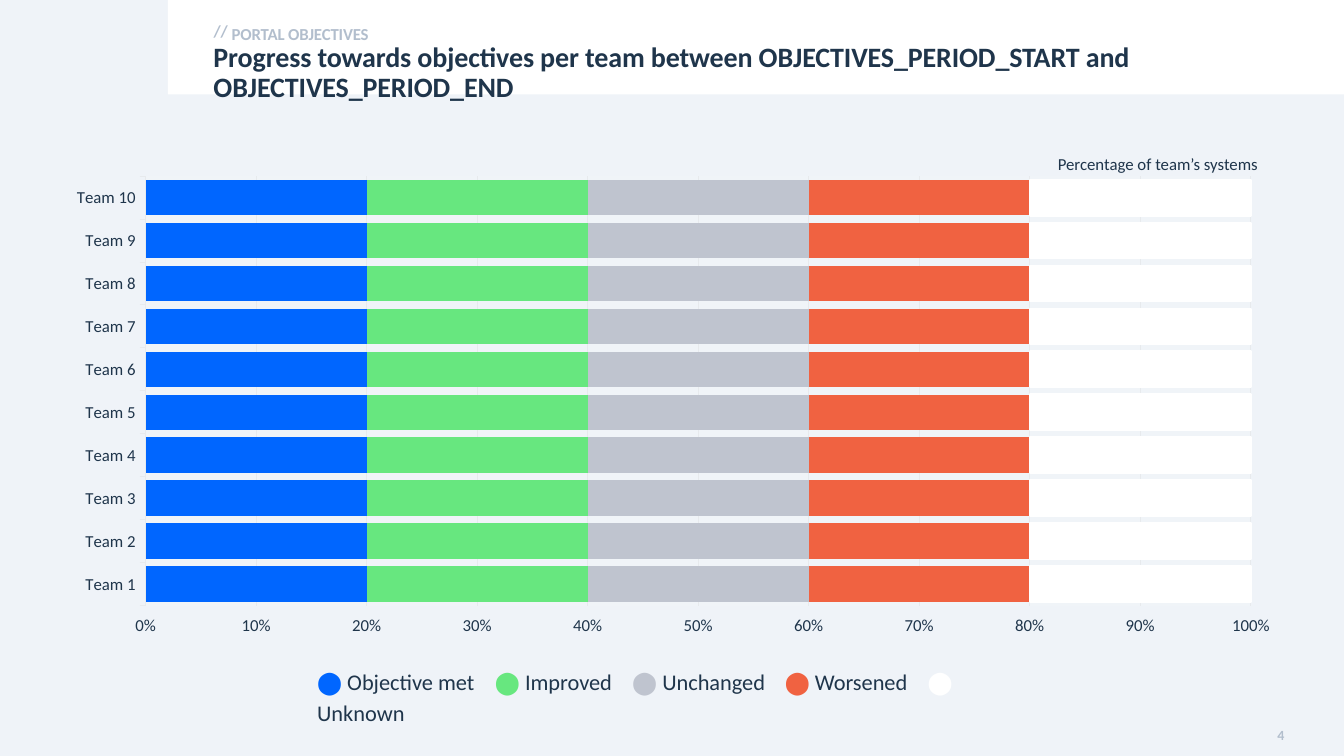
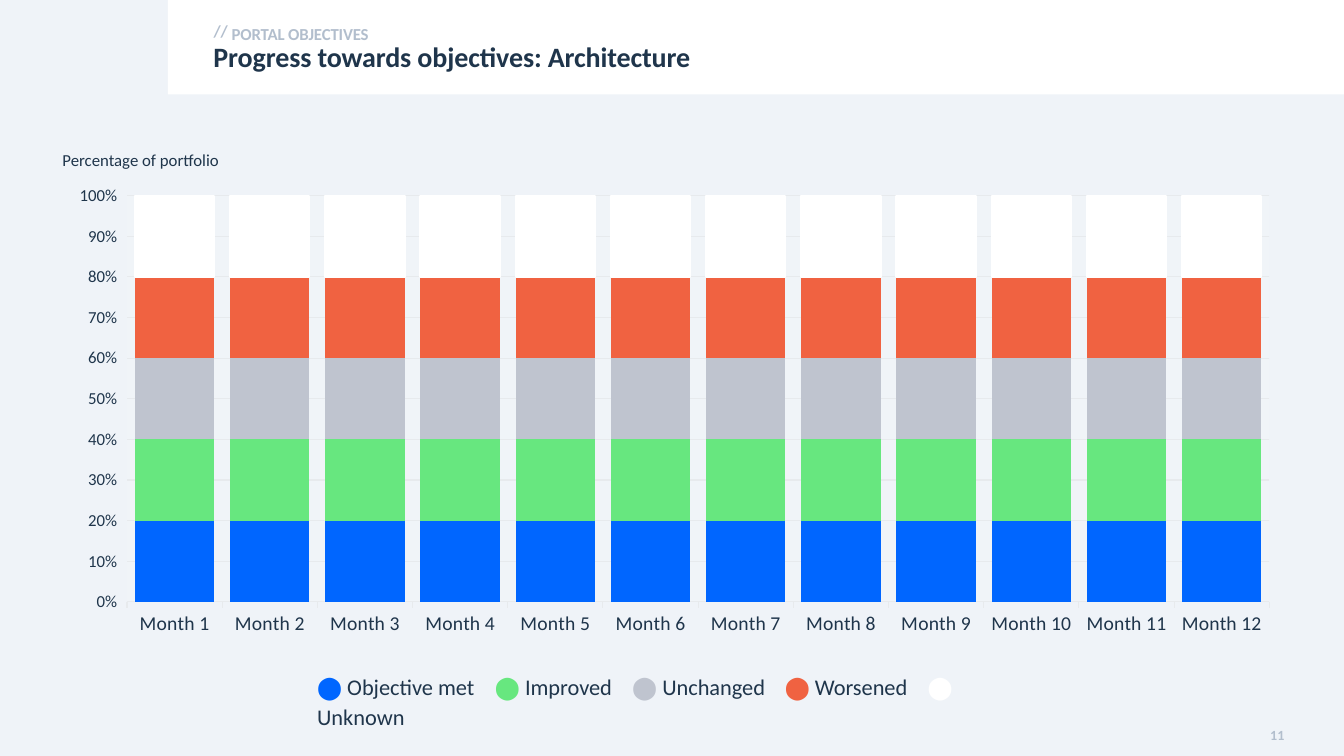
from lxml.etree import SubElement
from pptx import Presentation
from pptx.chart.data import CategoryChartData
from pptx.dml.color import RGBColor
from pptx.enum.chart import XL_CHART_TYPE, XL_TICK_MARK
from pptx.enum.shapes import MSO_SHAPE
from pptx.enum.text import MSO_ANCHOR, PP_ALIGN
from pptx.oxml import parse_xml
from pptx.oxml.ns import nsdecls, qn
from pptx.util import Pt

COLORS = {
    "page": "EFF3F8", "band": "FFFFFF", "plot": "F0F4F8", "grid": "E7EAED",
    "text": "1F354B", "muted": "B2BECD",
    "met": "0066FF", "improved": "67E77F", "unchanged": "BFC4CF",
    "worsened": "F06241", "unknown": "FFFFFF",
}
FONT = "Calibri"
STATUSES = {
    "met": "Objective met", "improved": "Improved", "unchanged": "Unchanged",
    "worsened": "Worsened", "unknown": "Unknown",
}
LEGEND_TABS = [127, 225, 334, 436]
CHART_LEFT, CHART_WIDTH = 37.5, 887


def rgb(name):
    return RGBColor.from_string(COLORS[name])


# Text
def add_text(slide, text, at, size=12, color="text", bold=False, tracking=0,
             align=PP_ALIGN.LEFT, anchor=MSO_ANCHOR.TOP,
             insets=(7.2, 3.6, 7.2, 3.6), line_spacing=1, tabs=()):
    """Add one paragraph; text is a string or a list of (text, color) pairs."""
    box = slide.shapes.add_textbox(*map(Pt, at))
    frame = box.text_frame
    frame.word_wrap = True
    frame.vertical_anchor = anchor
    (frame.margin_left, frame.margin_top,
     frame.margin_right, frame.margin_bottom) = map(Pt, insets)
    para = frame.paragraphs[0]
    para.alignment = align
    para.line_spacing = line_spacing
    if tabs:
        tab_list = SubElement(para._p.get_or_add_pPr(), qn("a:tabLst"))
        for position in tabs:
            SubElement(tab_list, qn("a:tab"), pos=str(Pt(position)), algn="l")
    spans = [(text, color)] if isinstance(text, str) else text
    for words, span_color in spans:
        span = para.add_run()
        span.text = words
        span.font.name = FONT
        span.font.size = Pt(size)
        span.font.bold = bold
        span.font.color.rgb = rgb(span_color)
        if tracking:
            span._r.get_or_add_rPr().set("spc", str(round(tracking * 100)))
    return box


# Shared frame: background, band, heading and page number
def add_page(deck, title, number):
    slide = deck.slides.add_slide(deck.slide_layouts[6])
    slide.background.fill.solid()
    slide.background.fill.fore_color.rgb = rgb("page")
    band = slide.shapes.add_shape(
        MSO_SHAPE.RECTANGLE, Pt(120), Pt(0), Pt(840), Pt(67.5))
    band.shadow.inherit = False
    band.fill.solid()
    band.fill.fore_color.rgb = rgb("band")
    band.line.fill.background()

    label = dict(color="muted", bold=True, tracking=-0.1)
    add_text(slide, "//", (145.5, 11.5, 26.5, 21.5),
             anchor=MSO_ANCHOR.MIDDLE, **label)
    add_text(slide, "PORTAL OBJECTIVES", (165.5, 13.5, 759, 17.5),
             insets=(0, 1.5, 7.2, 0), line_spacing=1.14, **label)
    add_text(slide, title, (152.5, 31, 772.5, 22.5), size=20, bold=True,
             tracking=-0.1, insets=(0, 0, 0, 0), line_spacing=0.9)
    add_text(slide, str(number), (894.5, 515.5, 30, 19), size=10,
             color="muted", bold=True, tracking=0.1, align=PP_ALIGN.RIGHT,
             anchor=MSO_ANCHOR.MIDDLE, insets=(0, 3, 7.2, 3.6))
    return slide


# Legend under the chart
def add_legend(slide, top):
    spans = []
    for index, (status, label) in enumerate(STATUSES.items()):
        gap = "\t" if index < len(LEGEND_TABS) else ""
        spans += [("⬤", status), (f" {label}{gap}", "text")]
    add_text(slide, spans, (219.5, top, 520.5, 28), size=16,
             line_spacing=1.13, tabs=LEGEND_TABS)


# Chart
def style_axis(axis, size):
    axis.major_tick_mark = XL_TICK_MARK.OUTSIDE
    axis.minor_tick_mark = XL_TICK_MARK.NONE
    font = axis.tick_labels.font
    font.name = FONT
    font.size = Pt(size)
    font.color.rgb = rgb("text")


def style_line(line, color, width):
    line.color.rgb = rgb(color)
    line.width = Pt(width)


def style_plot_area(chart, layout):
    """Place the plot by fractions of the chart and fill its background."""
    area = chart._chartSpace.chart.plotArea
    for old in area.findall(qn("c:layout")):
        area.remove(old)
    places = "".join(f'<c:{side} val="{value}"/>'
                     for side, value in zip("xywh", layout))
    area.insert(0, parse_xml(
        f'<c:layout {nsdecls("c")}><c:manualLayout>'
        '<c:layoutTarget val="inner"/><c:xMode val="edge"/>'
        f'<c:yMode val="edge"/>{places}</c:manualLayout></c:layout>'))
    area.append(parse_xml(
        f'<c:spPr {nsdecls("c", "a")}><a:solidFill>'
        f'<a:srgbClr val="{COLORS["plot"]}"/></a:solidFill></c:spPr>'))


def add_status_chart(slide, kind, categories, top, height, layout,
                     category_size):
    data = CategoryChartData()
    data.categories = categories
    for label in STATUSES.values():
        data.add_series(label, [20] * len(categories))
    chart = slide.shapes.add_chart(
        kind, Pt(CHART_LEFT), Pt(top), Pt(CHART_WIDTH), Pt(height), data).chart
    chart.has_legend = False
    chart.has_title = False
    chart.font.name = FONT
    chart.font.size = Pt(10)
    chart.font.color.rgb = rgb("text")

    plot = chart.plots[0]
    plot.gap_width = 20
    plot.overlap = 100
    plot.vary_by_categories = False
    for series, status in zip(plot.series, STATUSES):
        series.format.fill.solid()
        series.format.fill.fore_color.rgb = rgb(status)
        if status == "unknown":
            style_line(series.format.line, status, 1.5)

    style_axis(chart.category_axis, category_size)
    style_line(chart.category_axis.format.line, "grid", 0.75)
    values = chart.value_axis
    style_axis(values, 12)
    values.minimum_scale, values.maximum_scale = 0, 1
    values.major_unit = 0.1
    values.tick_labels.number_format = "0%"
    values.tick_labels.number_format_is_linked = False
    values.format.line.fill.background()
    values.has_major_gridlines = True
    style_line(values.major_gridlines.format.line, "grid", 0.75)
    style_plot_area(chart, layout)


def main():
    deck = Presentation()
    deck.slide_width, deck.slide_height = Pt(960), Pt(540)

    # Progress per team
    slide = add_page(
        deck, "Progress towards objectives per team between "
        "OBJECTIVES_PERIOD_START and OBJECTIVES_PERIOD_END", 4)
    add_status_chart(slide, XL_CHART_TYPE.BAR_STACKED_100,
                     [f"Team {n}" for n in range(1, 11)], top=119, height=341,
                     layout=(0.075, 0.02, 0.89, 0.9), category_size=12)
    add_legend(slide, 471.5)
    add_text(slide, "Percentage of team’s systems", (748.5, 104.5, 165, 23),
             line_spacing=1.13)

    # Progress per month
    slide = add_page(deck, "Progress towards objectives: Architecture", 11)
    add_status_chart(slide, XL_CHART_TYPE.COLUMN_STACKED_100,
                     [f"Month {n}" for n in range(1, 13)], top=126.5,
                     height=333.5, layout=(0.06, 0.04, 0.92, 0.87),
                     category_size=14)
    add_legend(slide, 474.5)
    add_text(slide, "Percentage of portfolio", (37.5, 101.5, 135, 23),
             line_spacing=1.13)

    deck.save("out.pptx")


if __name__ == "__main__":
    main()
